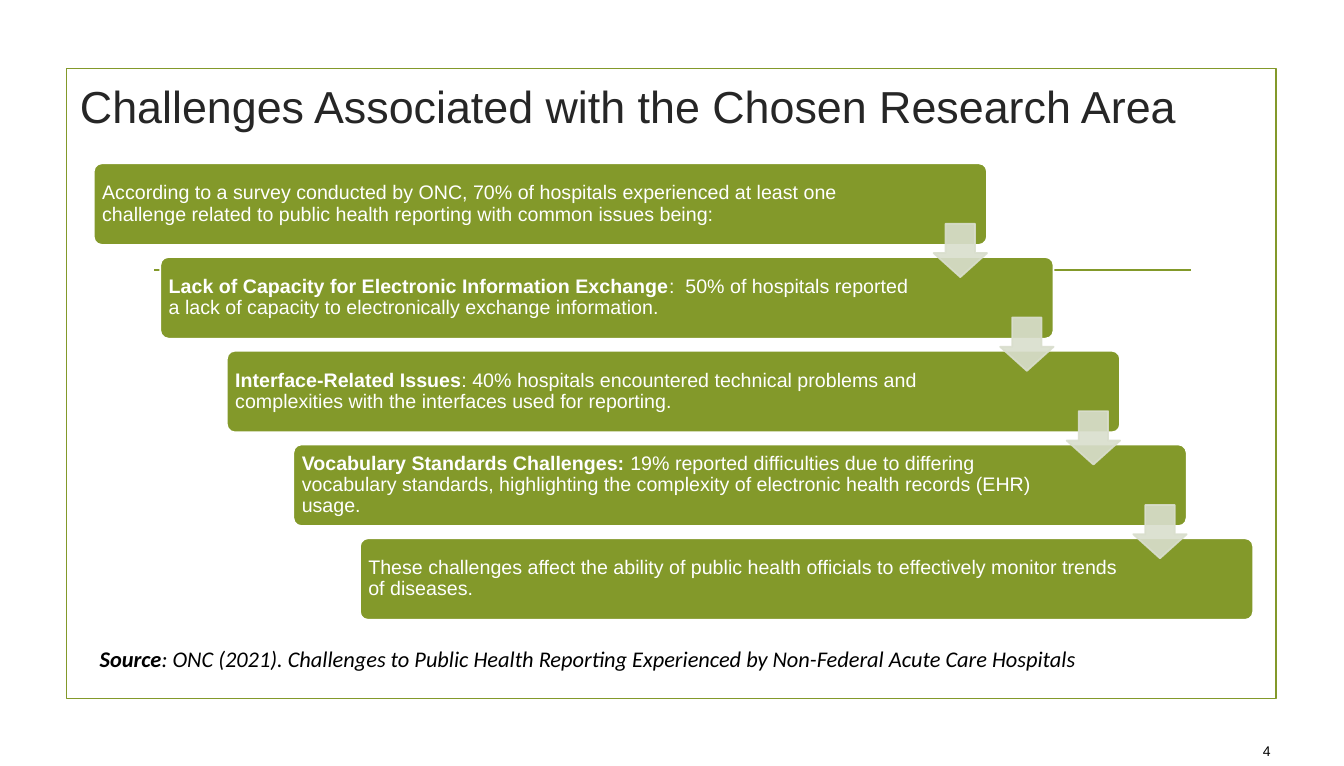
from lxml import etree
from pptx import Presentation
from pptx import util as u
from pptx.dml.color import RGBColor
from pptx.enum import shapes, text
from pptx.oxml import ns

PX = 9144  # 100 px to the inch
GREEN = RGBColor(0x83, 0x99, 0x2A)
PALE = RGBColor(0xD9, 0xDE, 0xCD)
WHITE = RGBColor(0xFF, 0xFF, 0xFF)
DARK = RGBColor(0x26, 0x26, 0x26)
BLACK = RGBColor(0, 0, 0)
LINE_WIDTH = u.Pt(1.25)

# Staircase rule: every step moves right and down by the same amount
STEP_X, STEP_Y = 66, 93
BAR = (93, 162, 886, 81)
ARROW = (926, 222, 53, 53)

# Each step: bold lead, plain text, right inset
STEPS = [
    ("", "According to a survey conducted by ONC, 70% of hospitals experienced "
     "at least one challenge related to public health reporting with common "
     "issues being:", 99),
    ("Lack of Capacity for Electronic Information Exchange",
     ":  50% of hospitals reported a lack of capacity to electronically "
     "exchange information.", 126),
    ("Interface-Related Issues",
     ": 40% hospitals encountered technical problems and complexities with "
     "the interfaces used for reporting.", 126),
    ("Vocabulary Standards Challenges: ",
     "19% reported difficulties due to differing vocabulary standards, "
     "highlighting the complexity of electronic health records (EHR) usage.",
     126),
    ("", "These challenges affect the ability of public health officials to "
     "effectively monitor trends of diseases.", 126),
]


def px(*lengths):
    return [u.Emu(length * PX) for length in lengths]


def set_all(target, values):
    for name, value in values.items():
        setattr(target, name, value)


def step_place(place, index):
    left, top, width, height = place
    return left + index * STEP_X, top + index * STEP_Y, width, height


def write(shape, spans, font, align=text.PP_ALIGN.LEFT, spacing=1.0,
          insets=(10, 5, 10, 5), anchor=text.MSO_ANCHOR.MIDDLE):
    """Fill a shape with one paragraph of (wording, bold) spans."""
    frame = shape.text_frame
    left, top, right, bottom = px(*insets)
    set_all(frame, {"word_wrap": True, "vertical_anchor": anchor,
                    "margin_left": left, "margin_top": top,
                    "margin_right": right, "margin_bottom": bottom})
    para = frame.paragraphs[0]
    set_all(para, {"alignment": align, "line_spacing": spacing})
    for wording, bold in spans:
        if wording:
            span = para.add_run()
            span.text = wording
            values = dict(font, bold=bold)
            span.font.color.rgb = values.pop("color")
            set_all(span.font, values)


def add_text(page, place, spans, font, **layout):
    box = page.shapes.add_textbox(*px(*place))
    write(box, spans, font, **layout)


def add_block(page, kind, place, fill, line, adjustments=()):
    block = page.shapes.add_shape(kind, *px(*place))
    block.shadow.inherit = False
    for index, value in enumerate(adjustments):
        block.adjustments[index] = value
    if fill is None:
        block.fill.background()
    else:
        block.fill.solid()
        block.fill.fore_color.rgb = fill
    block.line.color.rgb = line
    block.line.width = LINE_WIDTH
    return block


def add_rule(page, left, right, top):
    rule = page.shapes.add_connector(
        shapes.MSO_CONNECTOR.STRAIGHT, *px(left, top, right, top))
    rule.line.color.rgb = GREEN
    rule.line.width = LINE_WIDTH
    properties = rule._element.find(ns.qn("p:spPr"))
    etree.SubElement(properties, ns.qn("a:effectLst"))


def add_bar(page, index, lead, wording, right_inset):
    bar = add_block(page, shapes.MSO_SHAPE.ROUNDED_RECTANGLE,
                    step_place(BAR, index), GREEN, WHITE, [0.1])
    write(bar, [(lead, True), (wording, False)],
          {"name": "Arial", "size": u.Pt(14), "color": WHITE},
          spacing=0.9, insets=(6, 6, right_inset, 6))


def add_arrow(page, index):
    arrow = add_block(page, shapes.MSO_SHAPE.DOWN_ARROW,
                      step_place(ARROW, index), PALE, PALE, [0.55, 0.45])
    # 90% opacity for both fill and line
    properties = arrow._element.find(ns.qn("p:spPr"))
    for color in properties.iter(ns.qn("a:srgbClr")):
        etree.SubElement(color, ns.qn("a:alpha"), val="90000")


def main():
    deck = Presentation()
    deck.slide_width, deck.slide_height = px(1333, 760)
    page = deck.slides.add_slide(deck.slide_layouts[6])

    # Frame, rule and title
    add_block(page, shapes.MSO_SHAPE.RECTANGLE, (66, 68, 1200, 625),
              None, GREEN)
    add_rule(page, 153, 1181, 268)
    add_text(page, (6, 37, 1235, 136),
             [("Challenges Associated with the Chosen Research Area", False)],
             {"name": "Arial", "size": u.Pt(32), "color": DARK},
             align=text.PP_ALIGN.CENTER)

    # Staircase of bars, then the arrows between them
    for index, step in enumerate(STEPS):
        add_bar(page, index, *step)
    for index in range(len(STEPS) - 1):
        add_arrow(page, index)

    # Source and page number
    add_text(page, (89, 635, 1115, 37),
             [("Source", True),
              (": ONC (2021). Challenges to Public Health Reporting "
               "Experienced by Non-Federal Acute Care Hospitals", False)],
             {"name": "Calibri", "size": u.Pt(16), "color": BLACK,
              "italic": True}, anchor=text.MSO_ANCHOR.TOP)
    add_text(page, (1211, 729, 59, 31), [("4", False)],
             {"name": "Arial", "size": u.Pt(10), "color": BLACK},
             align=text.PP_ALIGN.RIGHT)

    deck.save("out.pptx")


if __name__ == "__main__":
    main()
